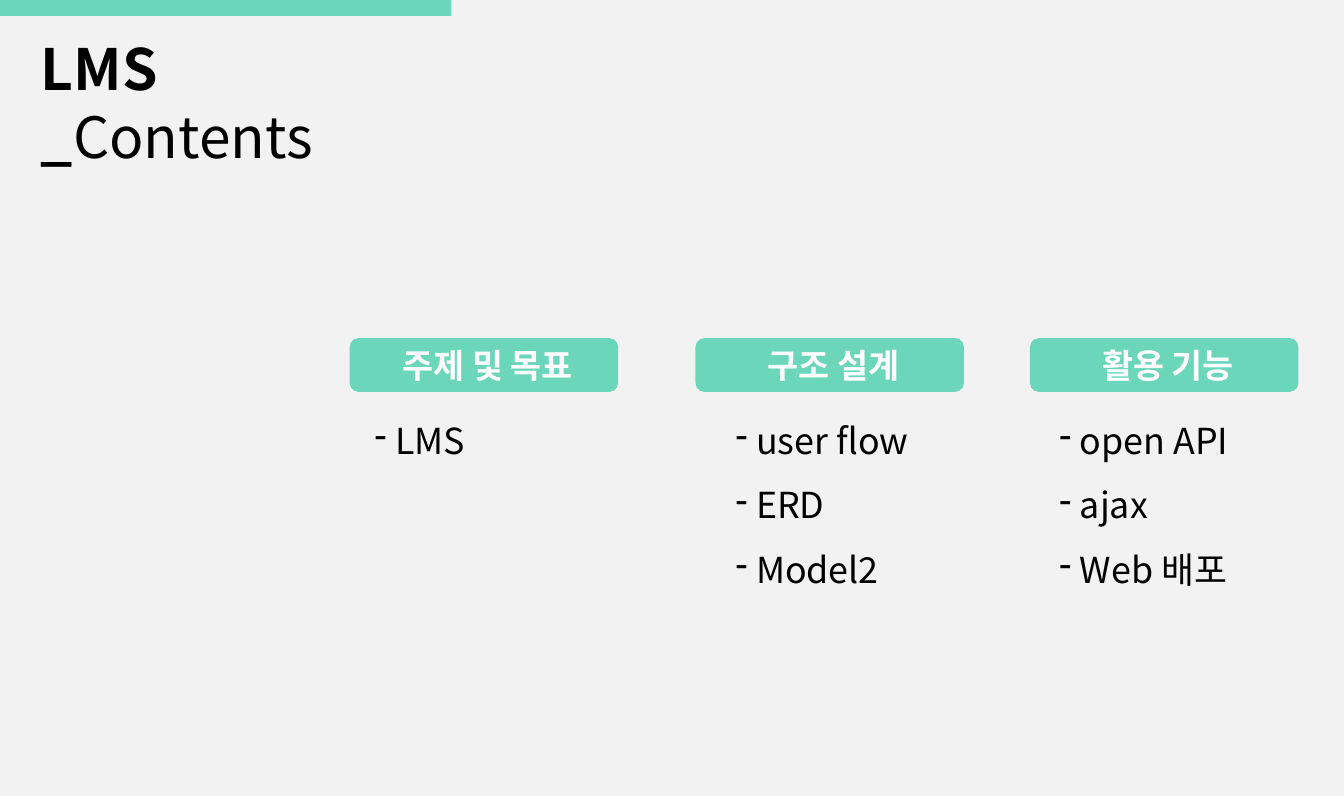
from dataclasses import dataclass

from lxml.etree import SubElement
from pptx import Presentation
from pptx.dml.color import RGBColor
from pptx.enum.shapes import MSO_SHAPE as Kind
from pptx.enum.text import MSO_ANCHOR as Anchor, MSO_AUTO_SIZE as Fit, PP_ALIGN as Align
from pptx.oxml.ns import qn
from pptx.shapes.autoshape import Shape
from pptx.slide import Slide
from pptx.text.text import _Paragraph as Para
from pptx.util import Inches, Pt

MINT = RGBColor(0x6C, 0xD6, 0xBA)
GREY = RGBColor(0xF2, 0xF2, 0xF2)
BLACK = RGBColor(0, 0, 0)
WHITE = RGBColor(0xFF, 0xFF, 0xFF)
FONT = "Noto Sans CJK KR"
HEAD_TOP, HEAD_W, HEAD_H = 4.46, 3.54, 0.71
LIST_TOP, LINE_H = 5.19, 0.85
DASH_W = 0.27


@dataclass
class Topic:
    head: str
    left: float
    list_left: float
    list_width: float
    items: list[str]


TOPICS = [
    Topic(" 주제 및 목표", 4.61, 4.84, 1.46, ["LMS"]),
    Topic(" 구조 설계", 9.17, 9.6, 2.55, ["user flow", "ERD", "Model2"]),
    Topic(" 활용 기능", 13.58, 13.87, 2.74, ["open API", "ajax", "Web 배포"]),
]


def style(para: Para, size: int, color: RGBColor, bold: bool = False) -> None:
    for run in para.runs:
        font = run.font
        font.name, font.size, font.bold = FONT, Pt(size), bold
        font.color.rgb = color
        SubElement(run._r.get_or_add_rPr(), qn("a:ea")).set("typeface", FONT)


def add_block(slide: Slide, kind: Kind, left: float, top: float,
              width: float, height: float) -> Shape:
    block = slide.shapes.add_shape(
        kind, Inches(left), Inches(top), Inches(width), Inches(height))
    block.shadow.inherit = False
    block.fill.solid()
    block.fill.fore_color.rgb = MINT
    block.line.fill.background()
    return block


def add_dash(para: Para) -> None:
    props = para._p.get_or_add_pPr()
    props.set("marL", str(Inches(DASH_W)))
    props.set("indent", str(-Inches(DASH_W)))
    SubElement(props, qn("a:buChar")).set("char", "-")


def add_title(slide: Slide) -> None:
    title = slide.shapes.title
    title.left, title.top = Inches(0.44), Inches(0.39)
    title.width, title.height = Inches(5.4), Inches(1.9)
    frame = title.text_frame
    frame.auto_size, frame.vertical_anchor = Fit.NONE, Anchor.TOP
    frame.text = "LMS\v_"
    para = frame.paragraphs[0]
    para.add_run().text = "Contents"
    para.alignment, para.line_spacing = Align.LEFT, Pt(65)
    style(para, 54, BLACK, True)
    para.runs[-1].font.bold = False


def add_topic(slide: Slide, topic: Topic) -> None:
    # Heading
    head = add_block(slide, Kind.ROUNDED_RECTANGLE, topic.left, HEAD_TOP, HEAD_W, HEAD_H)
    frame = head.text_frame
    frame.text, frame.vertical_anchor = topic.head, Anchor.MIDDLE
    frame.paragraphs[0].alignment = Align.CENTER
    style(frame.paragraphs[0], 32, WHITE, True)

    # Dashed list
    box = slide.shapes.add_textbox(
        Inches(topic.list_left), Inches(LIST_TOP), Inches(topic.list_width),
        Inches(0.1 + LINE_H * len(topic.items)))
    box.text_frame.word_wrap = True
    box.text_frame.text = "\n".join(topic.items)
    for para in box.text_frame.paragraphs:
        para.line_spacing = Inches(LINE_H)
        add_dash(para)
        style(para, 34, BLACK)


def main() -> None:
    deck = Presentation()
    deck.slide_width, deck.slide_height = Inches(17.72), Inches(10.5)
    slide = deck.slides.add_slide(deck.slide_layouts.get_by_name("Title Only"))
    slide.background.fill.solid()
    slide.background.fill.fore_color.rgb = GREY

    # Top bar and title
    add_block(slide, Kind.RECTANGLE, 0, 0, 5.95, 0.21)
    add_title(slide)

    # Topic columns
    for topic in TOPICS:
        add_topic(slide, topic)

    deck.save("out.pptx")


if __name__ == "__main__":
    main()
